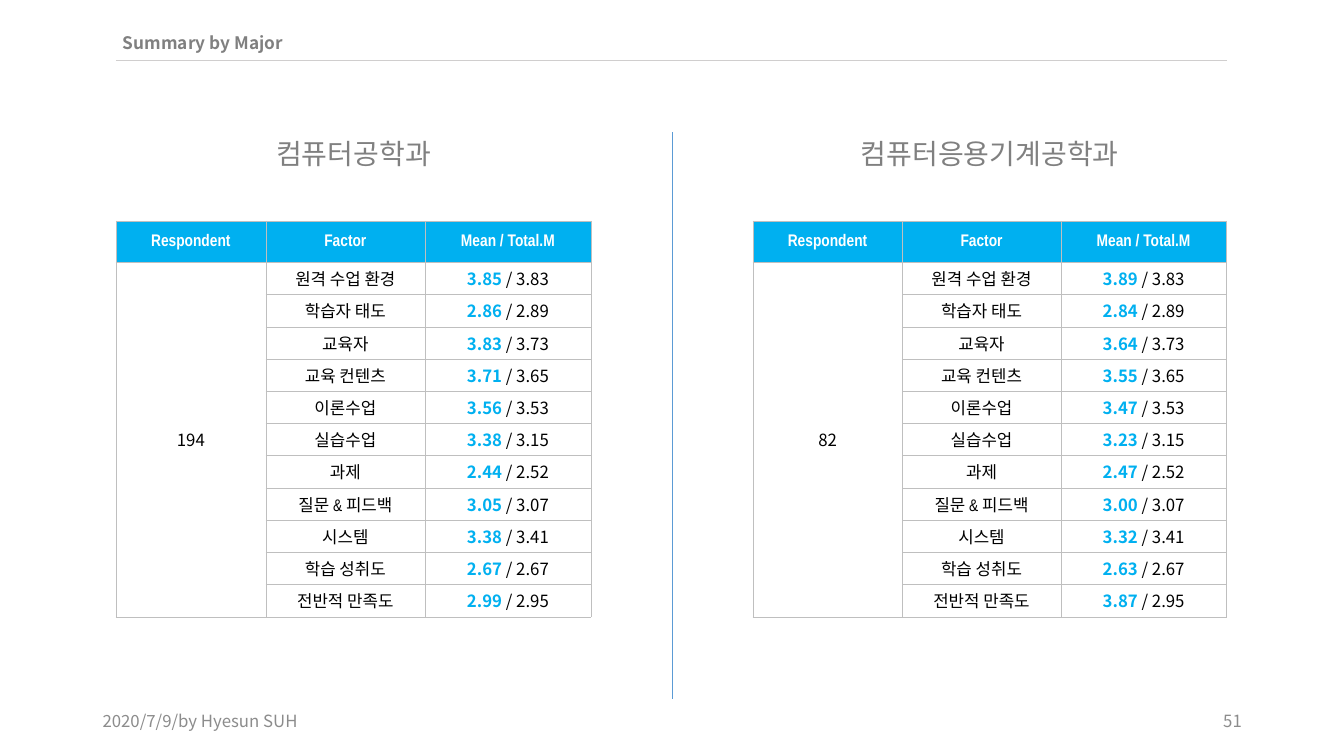
from lxml import etree
from pptx import Presentation
from pptx.dml.color import RGBColor
from pptx.enum.shapes import MSO_CONNECTOR
from pptx.enum.text import MSO_ANCHOR, MSO_AUTO_SIZE, PP_ALIGN
from pptx.oxml.ns import qn
from pptx.util import Pt

LEFT, CENTER, RIGHT = PP_ALIGN.LEFT, PP_ALIGN.CENTER, PP_ALIGN.RIGHT
TOP, MIDDLE = MSO_ANCHOR.TOP, MSO_ANCHOR.MIDDLE
STRAIGHT, NO_FIT = MSO_CONNECTOR.STRAIGHT, MSO_AUTO_SIZE.NONE

# Content
TITLE = "Summary by Major"
HEADERS = ["Respondent", "Factor", "Mean / Total.M"]
FACTORS = [
    ("원격 수업 환경", "3.83"), ("학습자 태도", "2.89"), ("교육자", "3.73"),
    ("교육 컨텐츠", "3.65"), ("이론수업", "3.53"), ("실습수업", "3.15"),
    ("과제", "2.52"), ("질문 & 피드백", "3.07"), ("시스템", "3.41"),
    ("학습 성취도", "2.67"), ("전반적 만족도", "2.95"),
]
MAJORS = [
    {"name": "컴퓨터공학과", "respondents": "194", "left": 82.8, "heading_width": 136.8,
     "columns": [107.1, 113.6, 118.7],
     "means": "3.85 2.86 3.83 3.71 3.56 3.38 2.44 3.05 3.38 2.67 2.99".split()},
    {"name": "컴퓨터응용기계공학과", "respondents": "82", "left": 537.8, "heading_width": 217.4,
     "columns": [106.7, 113.3, 118.3],
     "means": "3.89 2.84 3.64 3.55 3.47 3.23 2.47 3.00 3.32 2.63 3.87".split()},
]
CREDIT = "2020/7/9/by Hyesun SUH"
PAGE = "51"

# Style
NARROW, NOTO = "Arial Narrow", "Noto Sans CJK KR"
CYAN, GRAY, FOOTER_GRAY, WHITE, BLACK = "00B0F0", "808080", "8C8C8C", "FFFFFF", "000000"
RULE, DIVIDER, BORDER = "D0CECE", "5B9BD5", "BFBFBF"
TABLE_TOP, HEADER_HEIGHT, ROW_HEIGHT = 157.9, 29.4, 23.04


def rgb(color):
    return RGBColor.from_string(color)


def style_run(run, size, font, color, bold=False):
    run.font.size, run.font.name, run.font.bold = Pt(size), font, bold
    run.font.color.rgb = rgb(color)
    east_asian = etree.SubElement(run._r.get_or_add_rPr(), qn("a:ea"))
    east_asian.set("typeface", NOTO)


def write(box, text, size, font, color, bold=False, align=LEFT, anchor=TOP,
          wrap=True, insets=(7.2, 3.6)):
    frame = box.text_frame
    frame.text = text
    frame.auto_size, frame.word_wrap, frame.vertical_anchor = NO_FIT, wrap, anchor
    frame.margin_left = frame.margin_right = Pt(insets[0])
    frame.margin_top = frame.margin_bottom = Pt(insets[1])
    frame.paragraphs[0].alignment = align
    style_run(frame.paragraphs[0].runs[0], size, font, color, bold)


def add_text(left, top, width, height, *args, **options):
    box = slide.shapes.add_textbox(Pt(left), Pt(top), Pt(width), Pt(height))
    write(box, *args, **options)


def add_line(x1, y1, x2, y2, color):
    line = slide.shapes.add_connector(STRAIGHT, Pt(x1), Pt(y1), Pt(x2), Pt(y2))
    line.line.color.rgb = rgb(color)
    line.line.width = Pt(0.5)
    etree.SubElement(line._element.spPr, qn("a:effectLst"))


def format_cell(cell, fill=None):
    cell.vertical_anchor = MIDDLE
    cell.margin_top = cell.margin_bottom = Pt(2)
    properties = cell._tc.get_or_add_tcPr()
    for side in ("lnL", "lnR", "lnT", "lnB"):
        border = etree.SubElement(properties, qn(f"a:{side}"), w=str(Pt(0.25)))
        solid = etree.SubElement(border, qn("a:solidFill"))
        etree.SubElement(solid, qn("a:srgbClr"), val=BORDER)
    if fill:
        cell.fill.solid()
        cell.fill.fore_color.rgb = rgb(fill)
    else:
        cell.fill.background()


def fill_cell(cell, *pieces):
    paragraph = cell.text_frame.paragraphs[0]
    paragraph.alignment = CENTER
    for text, font, color, bold in pieces:
        run = paragraph.add_run()
        run.text = text
        style_run(run, 12, font, color, bold)


def add_major(major):
    width = sum(major["columns"])
    heading_left = major["left"] + (width - major["heading_width"]) / 2
    add_text(heading_left, 94.3, major["heading_width"], 31.7, major["name"],
             20, NARROW, GRAY, align=CENTER, wrap=False)

    height = HEADER_HEIGHT + ROW_HEIGHT * len(FACTORS)
    table = slide.shapes.add_table(len(FACTORS) + 1, len(HEADERS), Pt(major["left"]),
                                   Pt(TABLE_TOP), Pt(width), Pt(height)).table
    table.first_row = table.horz_banding = False
    for column, column_width in zip(table.columns, major["columns"]):
        column.width = Pt(column_width)
    for index, row in enumerate(table.rows):
        row.height = Pt(ROW_HEIGHT if index else HEADER_HEIGHT)
        for cell in row.cells:
            format_cell(cell, None if index else CYAN)

    for index, header in enumerate(HEADERS):
        fill_cell(table.cell(0, index), (header, NARROW, WHITE, True))
    table.cell(1, 0).merge(table.cell(len(FACTORS), 0))
    fill_cell(table.cell(1, 0), (major["respondents"], NOTO, BLACK, False))
    for index, ((factor, total), mean) in enumerate(zip(FACTORS, major["means"]), 1):
        factor_font = NOTO if index == 1 else NARROW
        fill_cell(table.cell(index, 1), (factor, factor_font, BLACK, False))
        fill_cell(table.cell(index, 2), (mean, NOTO, CYAN, True),
                  (f" / {total}", NOTO, BLACK, False))


presentation = Presentation()
presentation.slide_width, presentation.slide_height = Pt(960), Pt(540)
slide = presentation.slides.add_slide(presentation.slide_layouts[5])

# Title and rule
title = slide.shapes.title
title.left, title.top, title.width, title.height = Pt(82.8), Pt(20.9), Pt(482.4), Pt(20.2)
write(title, TITLE, 12.3, NOTO, GRAY, bold=True, insets=(5, 2.2))
add_line(82.8, 43.2, 876.2, 43.2, RULE)

# Two majors with a divider between them
for major in MAJORS:
    add_major(major)
add_line(480.2, 499, 480.2, 94.3, DIVIDER)

# Footer
add_text(66.2, 500.4, 216, 28.8, CREDIT, 12, NOTO, FOOTER_GRAY, anchor=MIDDLE)
add_text(678.2, 500.4, 216, 28.8, PAGE, 12, NOTO, FOOTER_GRAY, align=RIGHT, anchor=MIDDLE)

presentation.save("out.pptx")
